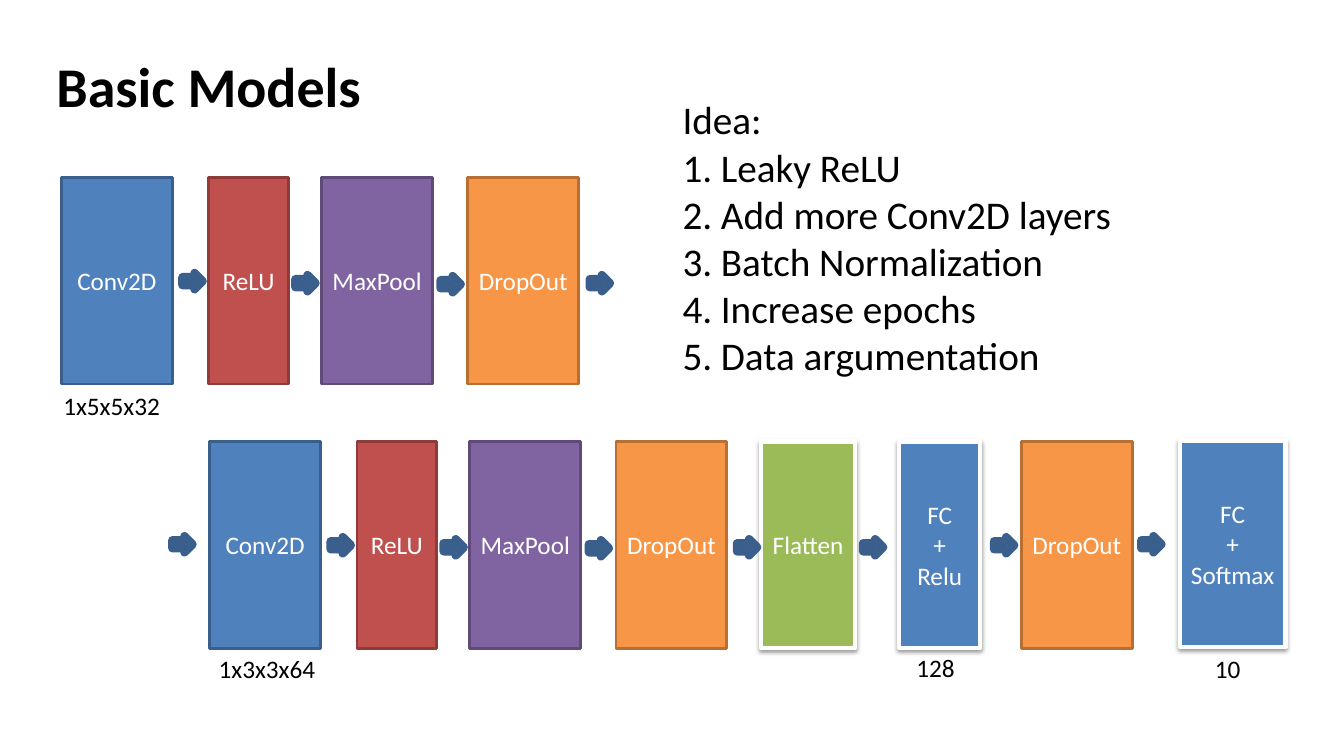
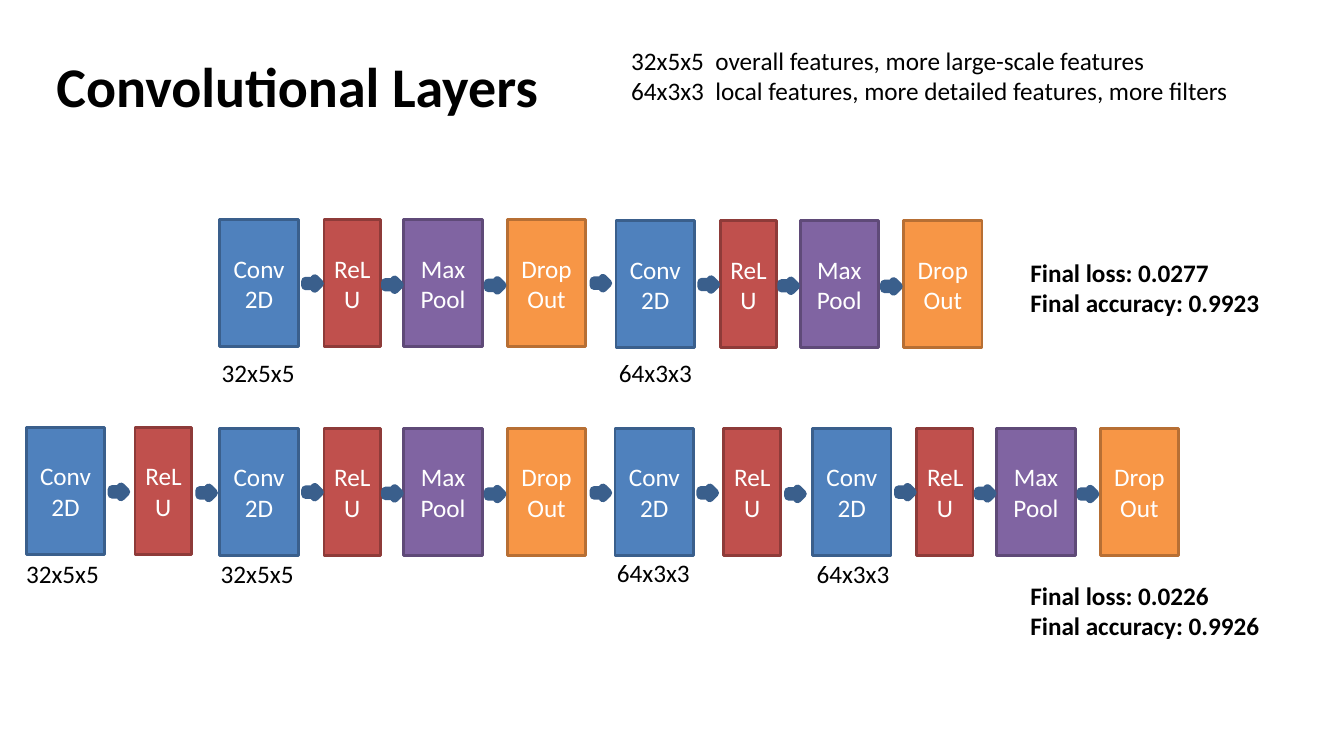
from collections import namedtuple

from lxml.etree import SubElement
from pptx import Presentation
from pptx.dml.color import RGBColor
from pptx.enum.shapes import MSO_SHAPE as Preset
from pptx.enum.text import MSO_ANCHOR as Anchor, MSO_AUTO_SIZE as AutoSize, PP_ALIGN as Align
from pptx.oxml.ns import qn
from pptx.util import Inches, Pt

Box = namedtuple("Box", "left top width height")
Look = namedtuple("Look", "fill line")

BLACK = RGBColor(0x00, 0x00, 0x00)
WHITE = RGBColor(0xFF, 0xFF, 0xFF)
BLUE = RGBColor(0x4F, 0x81, 0xBD)
DARK_BLUE = RGBColor(0x3A, 0x5F, 0x8C)
RED = RGBColor(0xC0, 0x50, 0x4D)
DARK_RED = RGBColor(0x8E, 0x3B, 0x39)
PURPLE = RGBColor(0x80, 0x64, 0xA2)
DARK_PURPLE = RGBColor(0x5F, 0x4A, 0x78)
ORANGE = RGBColor(0xF7, 0x96, 0x46)
DARK_ORANGE = RGBColor(0xB7, 0x6F, 0x34)
GREEN = RGBColor(0x9B, 0xBB, 0x59)

CONV = Look(BLUE, DARK_BLUE)
RELU = Look(RED, DARK_RED)
POOL = Look(PURPLE, DARK_PURPLE)
DROP = Look(ORANGE, DARK_ORANGE)
FLATTEN = Look(GREEN, WHITE)
DENSE = Look(BLUE, WHITE)

FONT = "Calibri"
TITLE_BOX = Box(0.46, 0.46, 5.43, 0.77)
STAGE_GRID = (5.13, 2.05)
STAGE_LAYERS = [(0, 1.1, CONV), (1.46, 0.79, RELU), (2.58, 1.1, POOL), (4.03, 1.1, DROP)]
STAGE_ARROWS = [(1.2, 0.95), (2.32, 0.97), (3.76, 0.98)]
LARGE_ARROW = (0.2, 0.16)
SMALL_ARROW = (0.14, 0.1)
LARGE_NAMES = ["Conv2D", "ReLU", "MaxPool", "DropOut"]
SMALL_NAMES = ["Conv2D", "ReLU", "Max\nPool", "DropOut"]
SMALL_STAGE = (3.63, 1.26)


def emu(box):
    return [Inches(length) for length in box]


def place(shape, box):
    shape.left, shape.top, shape.width, shape.height = emu(box)


def style(para, size=18, color=BLACK, bold=False, align=Align.LEFT):
    para.alignment = align
    para.font.name = FONT
    para.font.size = Pt(size)
    para.font.bold = bold
    para.font.color.rgb = color


def paint(shape, look, weight):
    shape.shadow.inherit = False
    shape.fill.solid()
    shape.fill.fore_color.rgb = look.fill
    shape.line.color.rgb = look.line
    shape.line.width = Pt(weight)


def cast_shadow(shape):
    effects = shape.element.spPr.find(qn("a:effectLst"))
    outer = SubElement(effects, qn("a:outerShdw"), blurRad="40000", dist="20000",
                       dir="5400000", rotWithShape="0")
    color = SubElement(outer, qn("a:srgbClr"), val="000000")
    SubElement(color, qn("a:alpha"), val="38000")


def layer(shapes, box, name, look):
    shape = shapes.add_shape(Preset.RECTANGLE, *emu(box))
    framed = look.line == WHITE
    paint(shape, look, 3 if framed else 2)
    if framed:
        cast_shadow(shape)
    frame = shape.text_frame
    frame.word_wrap = True
    frame.vertical_anchor = Anchor.MIDDLE
    frame.text = name
    for para in frame.paragraphs:
        style(para, color=WHITE, align=Align.CENTER)


def arrow(shapes, left, top, size):
    shape = shapes.add_shape(Preset.RIGHT_ARROW, *emu((left, top, *size)))
    paint(shape, CONV, 6)


def stage(page, box, names):
    shapes = page.shapes.add_group_shape().shapes
    column = box.width / STAGE_GRID[0]
    row = box.height / STAGE_GRID[1]
    for (left, width, look), name in zip(STAGE_LAYERS, names):
        layer(shapes, Box(box.left + left * column, box.top, width * column, box.height), name, look)
    for left, top in STAGE_ARROWS:
        arrow(shapes, box.left + left * column, box.top + top * row,
              (LARGE_ARROW[0] * column, LARGE_ARROW[1] * row))


def conv_pair(page, box):
    shapes = page.shapes
    layer(shapes, Box(box.left, box.top, 0.78, box.height), "Conv2D", CONV)
    layer(shapes, Box(box.left + box.width - 0.56, box.top, 0.56, box.height), "ReLU", RELU)
    arrow(shapes, box.left + 0.85, box.top + 0.59, SMALL_ARROW)
    arrow(shapes, box.left + box.width + 0.08, box.top + 0.6, SMALL_ARROW)


def caption(page, box, text, bold=False):
    frame = page.shapes.add_textbox(*emu(box)).text_frame
    frame.word_wrap = True
    frame.auto_size = AutoSize.SHAPE_TO_FIT_TEXT
    frame.text = text
    for para in frame.paragraphs:
        style(para, bold=bold)


def mark(para, numbered):
    para.space_before = Pt(0)
    props = para._p.get_or_add_pPr()
    indent = Inches(0.38) if numbered else 0
    props.set("marL", str(indent))
    props.set("indent", str(-indent))
    if numbered:
        SubElement(props, qn("a:buAutoNum"), type="arabicPeriod")
    else:
        SubElement(props, qn("a:buNone"))


def new_page(deck, title, body_box, plain, numbered, size):
    page = deck.slides.add_slide(deck.slide_layouts[1])
    heading, body = page.placeholders
    place(heading, TITLE_BOX)
    place(body, body_box)
    heading.text_frame.text = title
    style(heading.text_frame.paragraphs[0], 40, bold=True)
    body.text_frame.text = "\n".join(plain + numbered)
    for index, para in enumerate(body.text_frame.paragraphs):
        mark(para, index >= len(plain))
        style(para, size)
    for shape, anchor in ((heading, Anchor.MIDDLE), (body, Anchor.TOP)):
        shape.text_frame.auto_size = AutoSize.NONE
        shape.text_frame.word_wrap = True
        shape.text_frame.vertical_anchor = anchor
    return page


def basic_models(deck):
    ideas = ["Leaky ReLU", "Add more Conv2D layers", "Batch Normalization",
             "Increase epochs", "Data argumentation"]
    page = new_page(deck, "Basic Models", Box(6.67, 0.9, 5.69, 2.93), ["Idea:"], ideas, 28)
    for left, top in ((0.61, 1.76), (2.08, 4.38)):
        stage(page, Box(left, top, *STAGE_GRID), LARGE_NAMES)
    for left, top, width, name, look in (
        (7.55, 4.38, 0.93, "Flatten", FLATTEN),
        (8.92, 4.38, 0.8, "FC\n+\nRelu", DENSE),
        (10.13, 4.38, 1.1, "DropOut", DROP),
        (11.7, 4.37, 1.05, "FC\n+\nSoftmax", DENSE),
    ):
        layer(page.shapes, Box(left, top, width, STAGE_GRID[1]), name, look)
    for left, top in ((5.85, 2.73), (1.71, 5.32), (7.31, 5.35),
                      (8.56, 5.35), (9.86, 5.33), (11.32, 5.32)):
        arrow(page.shapes, left, top, LARGE_ARROW)
    for left, top, width, text in ((0.53, 3.82, 1.26, "1x5x5x32"), (2.07, 6.43, 1.26, "1x3x3x64"),
                                   (8.99, 6.42, 0.65, "128"), (11.95, 6.43, 0.65, "10")):
        caption(page, Box(left, top, width, 0.4), text)


def convolutional_layers(deck):
    features = ["32x5x5  overall features, more large-scale features",
                "64x3x3  local features, more detailed features, more filters"]
    page = new_page(deck, "Convolutional Layers", Box(6.16, 0.4, 6.98, 1.31), features, [], 18)
    for left, top in ((2.18, 2.18), (6.11, 2.19), (2.18, 4.25), (8.06, 4.25)):
        stage(page, Box(left, top, *SMALL_STAGE), SMALL_NAMES)
    for left, top in ((0.26, 4.24), (6.1, 4.25)):
        conv_pair(page, Box(left, top, 1.64, SMALL_STAGE[1]))
    for top in (2.76, 4.84):
        arrow(page.shapes, 5.89, top, SMALL_ARROW)
    for left, top, text in ((2.1, 3.5, "32x5x5"), (6.04, 3.5, "64x3x3"),
                            (0.16, 5.49, "32x5x5"), (2.09, 5.49, "32x5x5"),
                            (6.02, 5.48, "64x3x3"), (8, 5.49, "64x3x3")):
        caption(page, Box(left, top, 0.92, 0.4), text)
    for top, loss, accuracy in ((2.5, "0.0277", "0.9923"), (5.71, "0.0226", "0.9926")):
        caption(page, Box(10.12, top, 2.91, 0.71),
                f"Final loss: {loss}\nFinal accuracy: {accuracy}", bold=True)


deck = Presentation()
deck.slide_width = Inches(13.33)
deck.slide_height = Inches(7.5)
basic_models(deck)
convolutional_layers(deck)
deck.save("out.pptx")
